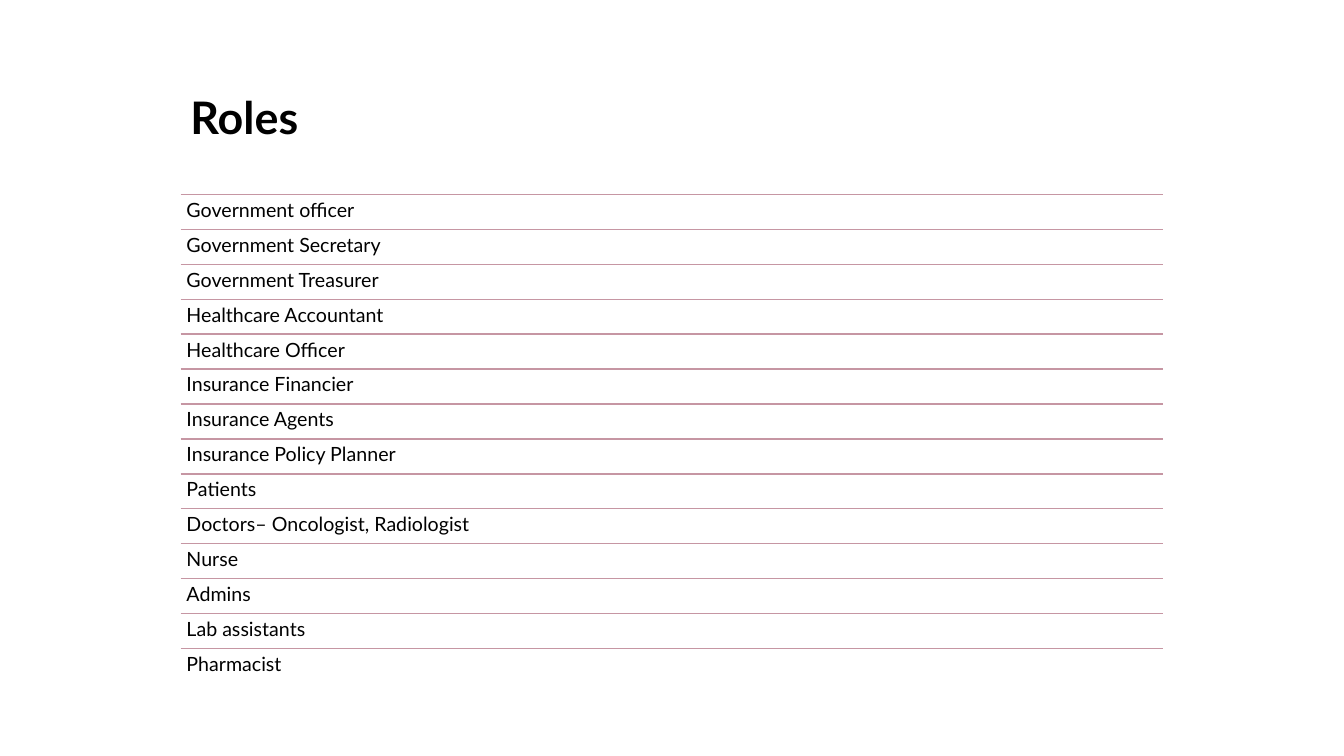
"""Build the slide that lists the roles."""
from pptx import Presentation
from pptx import util as u
from pptx.dml.color import RGBColor
from pptx.enum import shapes, text
from pptx.oxml.ns import qn
from lxml import etree

FONT = "Lato"
BLACK = "000000"
ROSE = "C696A3"
LEFT, WIDTH = 4.55, 24.77
LIST_TOP, ROW_HEIGHT = 4.9, 0.88
ROLES = [
    "Government officer",
    "Government Secretary",
    "Government Treasurer",
    "Healthcare Accountant",
    "Healthcare Officer",
    "Insurance Financier",
    "Insurance Agents",
    "Insurance Policy Planner",
    "Patients",
    "Doctors– Oncologist, Radiologist",
    "Nurse",
    "Admins",
    "Lab assistants",
    "Pharmacist",
]


def paint(color_format, hex_color):
    """Set a colour from a hex string."""
    color_format.rgb = RGBColor.from_string(hex_color)


def add_label(slide, wording, top, height, size, bold=False):
    """Add a full-width line of text and return its frame."""
    frame = slide.shapes.add_textbox(
        u.Cm(LEFT), u.Cm(top), u.Cm(WIDTH), u.Cm(height)).text_frame
    frame.word_wrap = True
    frame.text = wording
    font = frame.paragraphs[0].runs[0].font
    font.name, font.size, font.bold = FONT, u.Pt(size), bold
    paint(font.color, BLACK)
    return frame


def add_title(slide, wording):
    """Add the bold heading, centred vertically in its box."""
    frame = add_label(slide, wording, 1.9, 2.24, 32, bold=True)
    frame.vertical_anchor = text.MSO_ANCHOR.MIDDLE
    frame.paragraphs[0].line_spacing = 0.9


def add_rule(slide, top):
    """Add a thin horizontal rule without a shadow."""
    rule = slide.shapes.add_connector(
        shapes.MSO_CONNECTOR.STRAIGHT,
        u.Cm(LEFT), u.Cm(top), u.Cm(LEFT + WIDTH), u.Cm(top))
    rule.line.width = u.Pt(1)
    paint(rule.line.color, ROSE)
    etree.SubElement(rule._element.spPr, qn("a:effectLst"))


def add_role(slide, role, top):
    """Add one role beneath its rule."""
    add_rule(slide, top)
    frame = add_label(slide, role, top, ROW_HEIGHT, 14)
    frame.margin_left = frame.margin_right = u.Cm(0.15)
    frame.margin_top = frame.margin_bottom = u.Cm(0.15)
    frame.paragraphs[0].line_spacing = 0.9


def main():
    """Create the slide and save it."""
    deck = Presentation()
    deck.slide_width, deck.slide_height = u.Cm(33.87), u.Cm(19.05)
    slide = deck.slides.add_slide(deck.slide_layouts[6])
    add_title(slide, "Roles")
    for index, role in enumerate(ROLES):
        add_role(slide, role, LIST_TOP + index * ROW_HEIGHT)
    deck.save("out.pptx")


if __name__ == "__main__":
    main()
